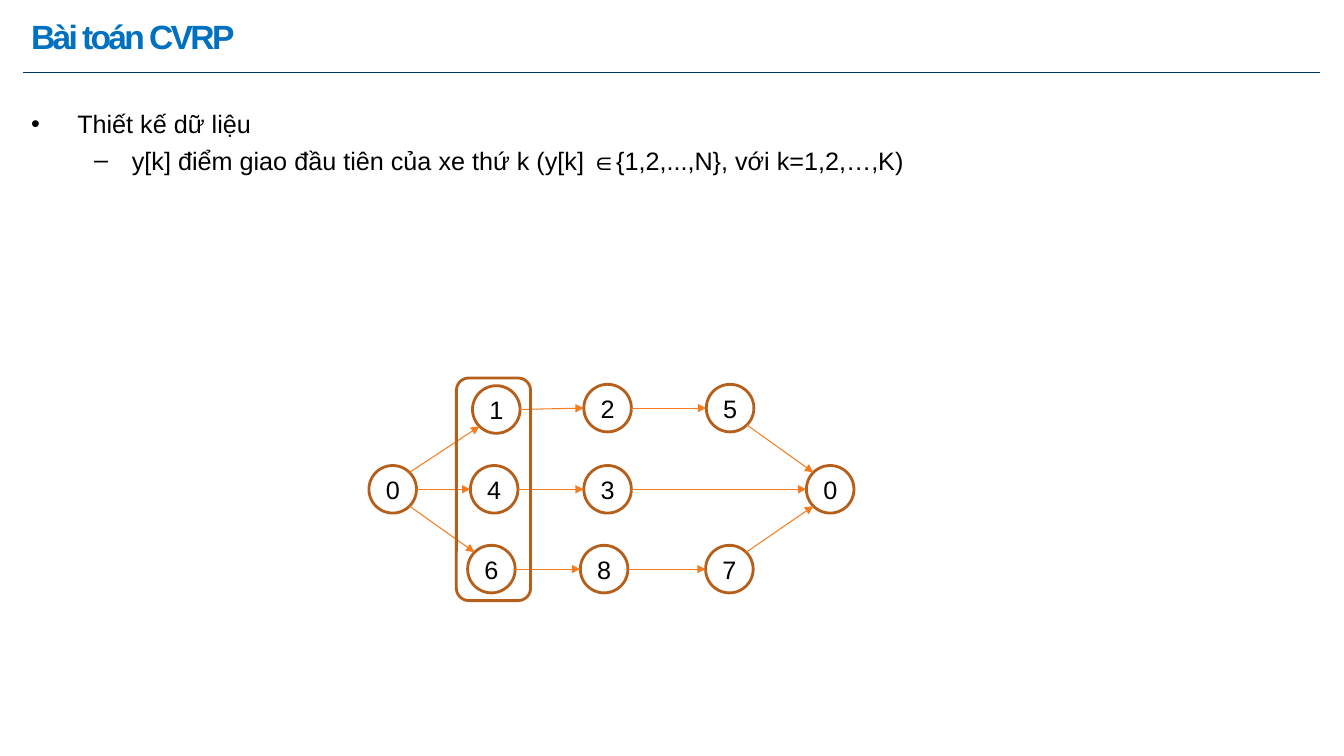
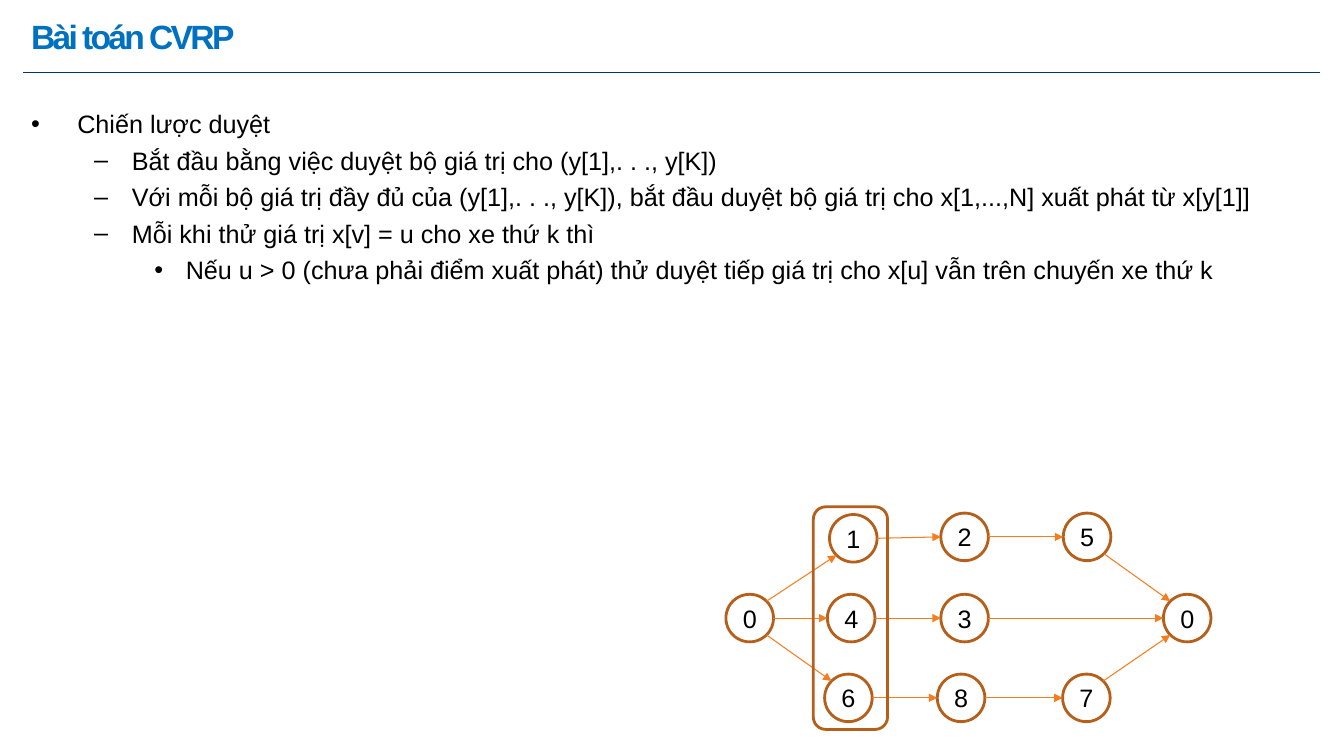
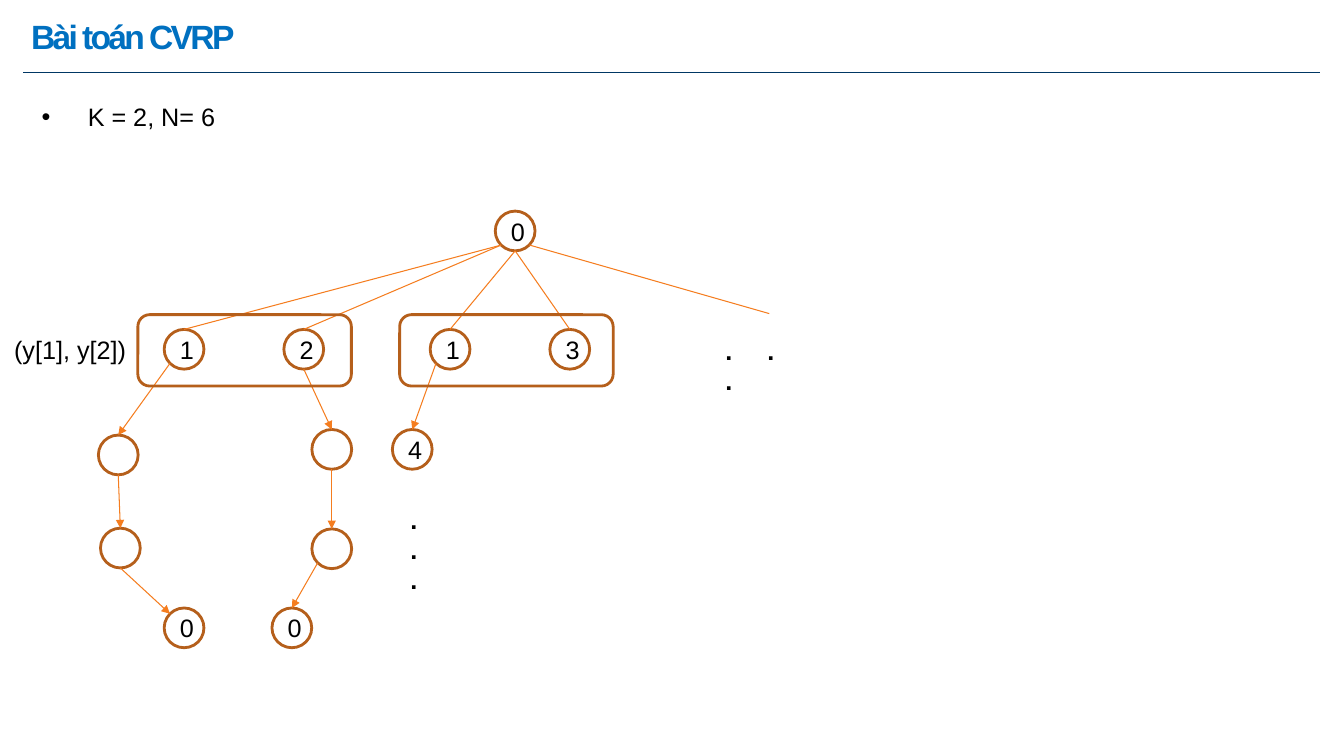
import pptx
import pptx.dml.color
import pptx.enum.shapes
import pptx.enum.text
import pptx.oxml
import pptx.oxml.ns
import pptx.util

Pt = pptx.util.Pt
SHAPE = pptx.enum.shapes.MSO_SHAPE
ALIGN = pptx.enum.text.PP_ALIGN
ANCHOR = pptx.enum.text.MSO_ANCHOR
AUTO_SIZE = pptx.enum.text.MSO_AUTO_SIZE

BLACK, BLUE, NAVY, BROWN, ORANGE = "000000", "0070C0", "003764", "B55F1B", "F57D1F"
BODY_FONT = {"name": "Arial", "size": Pt(18), "bold": False}
STRONG_FONT = {**BODY_FONT, "bold": True}
TITLE_FONT = {**STRONG_FONT, "size": Pt(24)}

# Left margin and first-line indent for each list level
INDENTS = [(33, -33), (72, -27), (110.5, -22.5)]

# Connection points of a circle, in units of its radius
SIDES = {"top": (0, -1), "bottom": (0, 1), "left": (-1, 0), "right": (1, 0),
         "top left": (-0.71, -0.71), "top right": (0.71, -0.71),
         "bottom left": (-0.71, 0.71), "bottom right": (0.71, 0.71)}


def color(hex_value):
    return pptx.dml.color.RGBColor.from_string(hex_value)


def apply(target, values):
    for name, value in values.items():
        setattr(target, name, value)


def place(shape, left, top, width, height):
    apply(shape, {"left": Pt(left), "top": Pt(top), "width": Pt(width), "height": Pt(height)})


def add_xml(parent, tag, **attributes):
    child = pptx.oxml.parse_xml(f"<a:{tag} {pptx.oxml.ns.nsdecls('a')}/>")
    for name, value in attributes.items():
        child.set(name, str(value))
    parent.append(child)
    return child


class Deck:
    def __init__(self):
        self.deck = pptx.Presentation()
        apply(self.deck, {"slide_width": Pt(960), "slide_height": Pt(540)})
        self.layout = self.deck.slide_layouts[1]
        place(self.layout.placeholders[0], 15, 6, 749, 44)
        self.slide = None

    def add_page(self, title):
        self.slide = self.deck.slides.add_slide(self.layout)
        if len(self.deck.slides) == 1:
            self.add_rule()
        frame = self.slide.shapes.title.text_frame
        apply(frame, {"auto_size": AUTO_SIZE.NONE, "vertical_anchor": ANCHOR.TOP,
                      "margin_top": Pt(5)})
        frame.paragraphs[0].alignment = ALIGN.LEFT
        span = self.add_span(frame.paragraphs[0], title, TITLE_FONT, BLUE)
        span.font._element.set("spc", "-190")

    def add_rule(self):
        """Put the line under the title on the shared layout."""
        rule = self.line((16.5, 51.5), (943, 51.5), NAVY, 0.5)
        rule.element.nvCxnSpPr.cNvPr.id = 20
        self.layout.shapes.element.append(rule.element)

    def add_span(self, para, text, font=BODY_FONT, hex_value=BLACK):
        span = para.add_run()
        span.text = text
        apply(span.font, font)
        span.font.color.rgb = color(hex_value)
        return span

    def paragraphs(self, frame, count):
        return [frame.paragraphs[0]] + [frame.add_paragraph() for _ in range(count - 1)]

    def bullets(self, items, left=15, top=72.5):
        body = self.slide.placeholders[1]
        place(body, left, top, 943 - left, 394)
        frame = body.text_frame
        apply(frame, {"auto_size": AUTO_SIZE.NONE, "margin_top": Pt(5)})
        paras = self.paragraphs(frame, len(items))
        for index, (para, (level, text)) in enumerate(zip(paras, items)):
            apply(para, {"level": level, "space_before": Pt(4.5 if index else 0)})
            margin, indent = INDENTS[level]
            properties = para._p.get_or_add_pPr()
            properties.set("marL", str(int(Pt(margin))))
            properties.set("indent", str(int(Pt(indent))))
            self.add_span(para, text)

    def text(self, lines, left, top, width, height, font=BODY_FONT, tab=None):
        box = self.slide.shapes.add_textbox(Pt(left), Pt(top), Pt(width), Pt(height))
        box.text_frame.word_wrap = True
        for para, line in zip(self.paragraphs(box.text_frame, len(lines)), lines):
            if tab:
                stops = add_xml(para._p.get_or_add_pPr(), "tabLst")
                add_xml(stops, "tab", pos=int(Pt(tab)), algn="l")
            self.add_span(para, line, font)

    def outline(self, kind, left, top, width, height):
        shape = self.slide.shapes.add_shape(kind, Pt(left), Pt(top), Pt(width), Pt(height))
        shape.shadow.inherit = False
        shape.fill.background()
        shape.line.color.rgb = color(BROWN)
        shape.line.width = Pt(2)
        return shape

    def node(self, x, y, size, label):
        circle = self.outline(SHAPE.OVAL, x - size / 2, y - size / 2, size, size)
        if label:
            circle.text_frame.vertical_anchor = ANCHOR.MIDDLE
            para = circle.text_frame.paragraphs[0]
            para.alignment = ALIGN.CENTER
            self.add_span(para, label)

    def line(self, start, end, hex_value=ORANGE, width=0.75, arrow=False):
        points = [Pt(value) for value in (*start, *end)]
        line = self.slide.shapes.add_connector(
            pptx.enum.shapes.MSO_CONNECTOR.STRAIGHT, *points)
        line.line.color.rgb = color(hex_value)
        line.line.width = Pt(width)
        if arrow:
            add_xml(line.line._get_or_add_ln(), "tailEnd", type="triangle")
        add_xml(line.element.spPr, "effectLst")
        return line

    def graph(self, nodes, edges, size, origin=(0, 0), arrow=True):
        """Draw nodes {name: (x, y, label)} and edges (from, side, to, side)."""
        centres = {}
        for name, (x, y, label) in nodes.items():
            centres[name] = (origin[0] + x, origin[1] + y)
            self.node(*centres[name], size, label)
        self.edges(centres, edges, size, arrow)

    def edges(self, centres, edges, size, arrow):
        def point(name, side):
            return [centre + unit * size / 2
                    for centre, unit in zip(centres[name], SIDES[side])]

        for start, start_side, end, end_side in edges:
            self.line(point(start, start_side), point(end, end_side), arrow=arrow)


# Three routes from the depot and back, relative to the starting depot
ROUTE_NODES = {
    "start": (0, 0, "0"), "1": (74, -57, "1"), "4": (72.5, 0, "4"), "6": (70.5, 57, "6"),
    "2": (153.5, -58, "2"), "3": (153.5, 0, "3"), "8": (151, 57, "8"),
    "end": (312.5, 0, "0"), "5": (241, -58, "5"), "7": (240.5, 57, "7"),
}
ROUTE_EDGES = [
    ("start", "top right", "1", "bottom left"), ("5", "bottom right", "end", "top left"),
    ("start", "bottom right", "6", "top left"), ("7", "top right", "end", "bottom left"),
] + [(start, "right", end, "left") for start, end in
     ["12", "25", ("start", "4"), "43", ("3", "end"), "68", "87"]]


def add_routes(deck, x, y):
    deck.graph(ROUTE_NODES, ROUTE_EDGES, 34, (x, y))
    deck.outline(SHAPE.ROUNDED_RECTANGLE, x + 45.5, y - 79.5, 53, 159)


# Search tree
TREE_NODES = {
    "root": (368, 165, "0"),
    "a1": (131.5, 249.5, "1"), "a2": (217, 249.5, "2"),
    "b1": (321.5, 249.5, "1"), "b3": (407, 249.5, "3"),
    "left 1": (84.5, 325, ""), "left 2": (86, 391.5, ""), "left 3": (131.5, 448.5, "0"),
    "right 1": (237, 321, ""), "right 2": (237, 392, ""), "right 3": (208.5, 448.5, "0"),
    "b4": (294.5, 321, "4"),
}
TREE_ARROWS = [
    ("a1", "bottom left", "left 1", "top"), ("left 1", "bottom", "left 2", "top"),
    ("left 2", "bottom", "left 3", "top left"), ("a2", "bottom", "right 1", "top"),
    ("right 1", "bottom", "right 2", "top"), ("right 2", "bottom left", "right 3", "top"),
    ("b1", "bottom left", "b4", "top"),
]
TREE_BRANCHES = [
    ("root", "bottom left", "a1", "top"), ("root", "bottom left", "a2", "top"),
    ("root", "bottom", "b1", "top"), ("root", "bottom", "b3", "top"),
]


def add_tree(deck):
    size = 28.4
    deck.graph(TREE_NODES, TREE_ARROWS, size)
    centres = {name: (x, y) for name, (x, y, _) in TREE_NODES.items()}
    deck.edges(centres, TREE_BRANCHES, size, arrow=False)
    deck.line((378, 175), (549.5, 224))
    for left in (98.5, 285.5):
        deck.outline(SHAPE.ROUNDED_RECTANGLE, left, 224.75, 152.5, 51)
    deck.text(["(y[1], y[2])"], 3, 235.5, 97, 29)
    deck.text(["."] * 3, 286, 356.5, 40, 73, STRONG_FONT)
    deck.text([".\t.", "."], 511, 236, 77, 50, STRONG_FONT, tab=30)


def main():
    deck = Deck()
    title = "Bài toán CVRP"

    # Data design
    deck.add_page(title)
    deck.bullets([
        (0, "Thiết kế dữ liệu"),
        (1, "y[k] điểm giao đầu tiên của xe thứ k (y[k] ∈{1,2,...,N}, với k=1,2,…,K)"),
    ])
    add_routes(deck, 280.5, 349.5)

    # Search strategy
    deck.add_page(title)
    deck.bullets([
        (0, "Chiến lược duyệt"),
        (1, "Bắt đầu bằng việc duyệt bộ giá trị cho (y[1],. . ., y[K])"),
        (1, "Với mỗi bộ giá trị đầy đủ của (y[1],. . ., y[K]), bắt đầu duyệt bộ giá trị "
            "cho x[1,...,N] xuất phát từ x[y[1]]"),
        (1, "Mỗi khi thử giá trị x[v] = u cho xe thứ k thì"),
        (2, "Nếu u > 0 (chưa phải điểm xuất phát) thử duyệt tiếp giá trị cho x[u] "
            "vẫn trên chuyến xe thứ k"),
    ])
    add_routes(deck, 535.5, 441.5)

    # Example tree
    deck.add_page(title)
    deck.bullets([(0, "K = 2, N= 6")], left=22.5, top=67.5)
    add_tree(deck)

    deck.deck.save("out.pptx")


if __name__ == "__main__":
    main()
